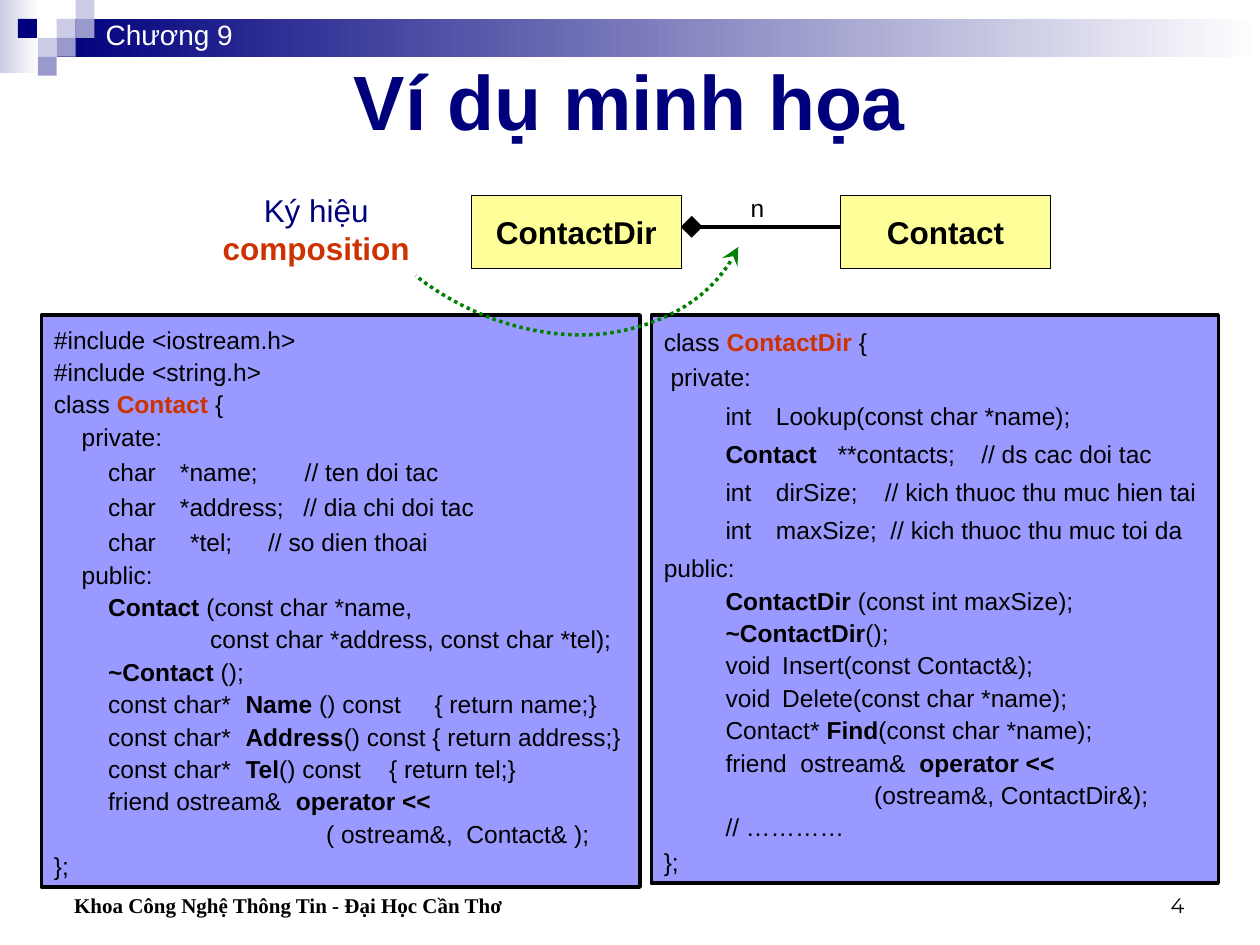
from dataclasses import dataclass

from pptx import Presentation, util as u
from pptx.dml.color import RGBColor
from pptx.enum import dml, shapes, text
from pptx.oxml.ns import qn
from lxml import etree


@dataclass(frozen=True)
class Theme:
    """Colours, fonts and type sizes of the slide."""
    navy: str = "00007D"
    lilac: str = "CCCCE6"
    mauve: str = "9999CC"
    panel: str = "9999FF"
    yellow: str = "FFFF99"
    red: str = "CC3300"
    green: str = "008000"
    black: str = "000000"
    white: str = "FFFFFF"
    sans: str = "Arial"
    serif: str = "Times New Roman"
    number: str = "Montserrat"
    title: int = 44
    label: int = 18
    chapter: int = 16
    code: int = 14
    foot: int = 12


T = Theme()
LEFT, CENTER, RIGHT = text.PP_ALIGN.LEFT, text.PP_ALIGN.CENTER, text.PP_ALIGN.RIGHT
TOP, MIDDLE, BOTTOM = text.MSO_ANCHOR.TOP, text.MSO_ANCHOR.MIDDLE, text.MSO_ANCHOR.BOTTOM

CONTACT_CODE = [
    (1.1, "#include <iostream.h>"),
    (1.1, "#include <string.h>"),
    (1.1, "class |Contact| {"),
    (1.1, "\tprivate:", 0.22),
    (1.2, "\tchar\t*name;\t// ten doi tac", 0.43, 1, 1.99),
    (1.2, "\tchar\t*address;\t// dia chi doi tac", 0.43, 1, 1.98),
    (1.2, "\tchar\t*tel;\t// so dien thoai", 0.43, 1.08, 1.7),
    (1.1, "\tpublic:", 0.22),
    (1.1, "\t|Contact| (const char *name,", 0.43),
    (1.1, "\tconst char *address, const char *tel);", 1.24),
    (1.1, "\t|~Contact| ();", 0.43),
    (1.1, "\tconst char*\t|Name| () const\t{ return name;}", 0.43, 1.52, 3.02),
    (1.1, "\tconst char*\t|Address|() const { return address;}", 0.43, 1.52),
    (1.1, "\tconst char*\t|Tel|() const\t{ return tel;}", 0.43, 1.52, 2.66),
    (1.1, "\tfriend ostream&\t|operator <<", 0.43, 1.92),
    (1.1, "\t( ostream&,  Contact& );", 2.16),
    (1.1, "};"),
]
DIRECTORY_CODE = [
    (1.2, "class |ContactDir| {"),
    (1.2, " private:"),
    (1.3, "\tint\tLookup(const char *name);", 0.49, 0.89),
    (1.3, "\t|Contact|\t**contacts;\t// ds cac doi tac", 0.49, 1.38, 2.52),
    (1.3, "\tint\tdirSize;    // kich thuoc thu muc hien tai", 0.49, 0.89),
    (1.3, "\tint\tmaxSize;  // kich thuoc thu muc toi da", 0.49, 0.89),
    (1.3, "public:"),
    (1.1, "\t|ContactDir| (const int maxSize);", 0.49),
    (1.1, "\t|~ContactDir|();", 0.49),
    (1.1, "\tvoid\tInsert(const Contact&);", 0.49, 0.94),
    (1.1, "\tvoid\tDelete(const char *name);", 0.49, 0.94),
    (1.1, "\tContact* |Find|(const char *name);", 0.49),
    (1.1, "\tfriend  ostream&  |operator <<", 0.49),
    (1.1, "\t(ostream&, ContactDir&);", 1.67),
    (1.1, "\t// …………", 0.49),
    (1.2, "};"),
]


def apply(target, **values):
    """Set each named attribute on the target."""
    for name, value in values.items():
        setattr(target, name, value)


def add_run(paragraph, words, size, color=T.black, bold=False, font=T.sans):
    """Append one formatted run."""
    run = paragraph.add_run()
    run.text = words
    apply(run.font, size=u.Pt(size), bold=bold, name=font)
    run.font.color.rgb = RGBColor.from_string(color)


def add_tab_stops(paragraph, stops):
    """Add left tab stops, given in inches."""
    if stops:
        tabs = etree.SubElement(paragraph._p.get_or_add_pPr(), qn("a:tabLst"))
        for stop in stops:
            etree.SubElement(tabs, qn("a:tab"), pos=str(u.Inches(stop)), algn="l")


def add_box(slide, box, fill=None, border=None):
    """Add a flat rectangle with an optional border width."""
    rect = slide.shapes.add_shape(shapes.MSO_SHAPE.RECTANGLE, *map(u.Inches, box))
    rect.shadow.inherit = False
    if fill:
        rect.fill.solid()
        rect.fill.fore_color.rgb = RGBColor.from_string(fill)
    if border:
        rect.line.color.rgb = RGBColor.from_string(T.black)
        rect.line.width = u.Pt(border)
    else:
        rect.line.fill.background()
    return rect


def add_label(slide, box, words, size, align=LEFT, anchor=TOP, wrap=True, **style):
    """Add a text box holding one line and return its frame."""
    frame = slide.shapes.add_textbox(*map(u.Inches, box)).text_frame
    apply(frame, word_wrap=wrap, vertical_anchor=anchor)
    frame.paragraphs[0].alignment = align
    add_run(frame.paragraphs[0], words, size, **style)
    return frame


def add_arrowhead(line_shape, kind):
    """Put a large arrowhead at the start of a line."""
    etree.SubElement(line_shape.line._get_or_add_ln(), qn("a:headEnd"),
                     type=kind, w="lg", len="lg")


def draw_banner(slide, box):
    """Draw the fading bars, the mosaic and the chapter label."""
    left, top, width, height = box
    tile = 0.15
    for bar, color in (((left, top, 0.31, height), T.lilac),
                       ((left + 3 * tile, top + tile, width - 3 * tile, 2 * tile), T.navy)):
        fill = add_box(slide, bar).fill
        fill.gradient()
        fill.gradient_angle = 0
        for stop, shade in zip(fill.gradient_stops, (color, T.white)):
            stop.color.rgb = RGBColor.from_string(shade)
    for column, row, color in ((3, 1, T.lilac), (4, 0, T.lilac), (4, 1, T.mauve),
                               (2, 2, T.lilac), (0.95, 1, T.navy), (3, 2, T.mauve),
                               (2, 3, T.mauve)):
        add_box(slide, (left + column * tile, top + row * tile, tile, tile), color)
    add_label(slide, (left + 0.74, top + 0.09, 1.75, 0.37), "Chương 9",
              T.chapter, color=T.white)


def draw_title(slide, box):
    """Place and format the title placeholder."""
    title = slide.shapes.title
    apply(title, **dict(zip(("left", "top", "width", "height"), map(u.Inches, box))))
    title.text_frame.vertical_anchor = MIDDLE
    heading = title.text_frame.paragraphs[0]
    heading.alignment = CENTER
    add_run(heading, "Ví dụ minh họa", T.title, T.navy, True)


def draw_code(slide, box, lines):
    """Draw a code panel; bars in a line switch bold on and off."""
    frame = add_box(slide, box, T.panel, 2).text_frame
    apply(frame, word_wrap=True, vertical_anchor=MIDDLE)
    for number, (spacing, code, *stops) in enumerate(lines):
        paragraph = frame.add_paragraph() if number else frame.paragraphs[0]
        apply(paragraph, alignment=LEFT, line_spacing=spacing)
        add_tab_stops(paragraph, stops)
        accent = T.red if code.startswith("class") else T.black
        for part, words in enumerate(code.split("|")):
            if words:
                bold = part % 2 == 1
                add_run(paragraph, words, T.code, accent if bold else T.black, bold)


def draw_diagram(slide, box):
    """Draw the two classes and the composition line between them."""
    left, top, width, height = box
    class_width = 1.67
    right = left + width - class_width
    for x, name in ((left, "ContactDir"), (right, "Contact")):
        frame = add_box(slide, (x, top, class_width, height), T.yellow, 0.75).text_frame
        apply(frame, word_wrap=False, vertical_anchor=MIDDLE)
        frame.paragraphs[0].alignment = CENTER
        add_run(frame.paragraphs[0], name, T.label, bold=True)
    y = top + 0.25
    ends = (left + class_width + 0.08, y, right, y)
    composition = slide.shapes.add_connector(shapes.MSO_CONNECTOR.STRAIGHT,
                                             *map(u.Inches, ends))
    composition.line.color.rgb = RGBColor.from_string(T.black)
    composition.line.width = u.Pt(2.5)
    add_arrowhead(composition, "diamond")
    etree.SubElement(composition._element.spPr, qn("a:effectLst"))
    add_label(slide, (left + 2.12, top - 0.07, 0.31, 0.34), "n", T.code, wrap=False)


def bezier(points, t):
    """Return the point at t on a cubic curve."""
    weights = ((1 - t) ** 3, 3 * t * (1 - t) ** 2, 3 * t * t * (1 - t), t ** 3)
    return tuple(u.Inches(sum(w * p[axis] for w, p in zip(weights, points)))
                 for axis in (0, 1))


def draw_note(slide, box):
    """Write the notation note and its dotted arrow to the diagram."""
    left, top = box[:2]
    frame = add_label(slide, box, "Ký hiệu", T.label, CENTER, color=T.navy)
    keyword = frame.add_paragraph()
    keyword.alignment = CENTER
    add_run(keyword, "composition", T.label, T.red, True)
    curve = [(left + x, top + y) for x, y in
             ((4.29, 0.49), (4.11, 0.88), (3.71, 1.12), (3.22, 1.18),
              (2.73, 1.23), (2.18, 1.07), (1.73, 0.72))]
    steps = 16
    track = [bezier(curve[i:i + 4], n / steps) for i in (0, 3) for n in range(1, steps + 1)]
    builder = slide.shapes.build_freeform(*bezier(curve[:4], 0))
    builder.add_line_segments(track, close=False)
    arrow = builder.convert_to_shape()
    arrow.shadow.inherit = False
    arrow.fill.background()
    arrow.line.color.rgb = RGBColor.from_string(T.green)
    apply(arrow.line, width=u.Pt(2), dash_style=dml.MSO_LINE.ROUND_DOT)
    add_arrowhead(arrow, "stealth")


def draw_footer(slide, box):
    """Write the department and the page number."""
    left, top, width, height = box
    add_label(slide, (left, top, 4.59, height),
              "Khoa Công Nghệ Thông Tin - Đại Học Cần Thơ", T.foot,
              anchor=BOTTOM, bold=True, font=T.serif)
    add_label(slide, (left + width - 2.33, top, 2.33, height), "4", T.foot,
              RIGHT, BOTTOM, font=T.number)


def main():
    """Build the slide and save it."""
    deck = Presentation()
    apply(deck, slide_width=u.Inches(10), slide_height=u.Inches(7.5))
    slide = deck.slides.add_slide(deck.slide_layouts[5])
    draw_banner(slide, (0, 0, 10, 0.58))
    draw_title(slide, (0.5, 0.33, 9, 0.92))
    draw_code(slide, (0.33, 2.5, 4.75, 4.54), CONTACT_CODE)
    draw_code(slide, (5.17, 2.5, 4.5, 4.51), DIRECTORY_CODE)
    draw_diagram(slide, (3.74, 1.55, 4.6, 0.58))
    draw_note(slide, (1.57, 1.47, 1.88, 0.7))
    draw_footer(slide, (0.49, 6.83, 9.01, 0.5))
    deck.save("out.pptx")


if __name__ == "__main__":
    main()
